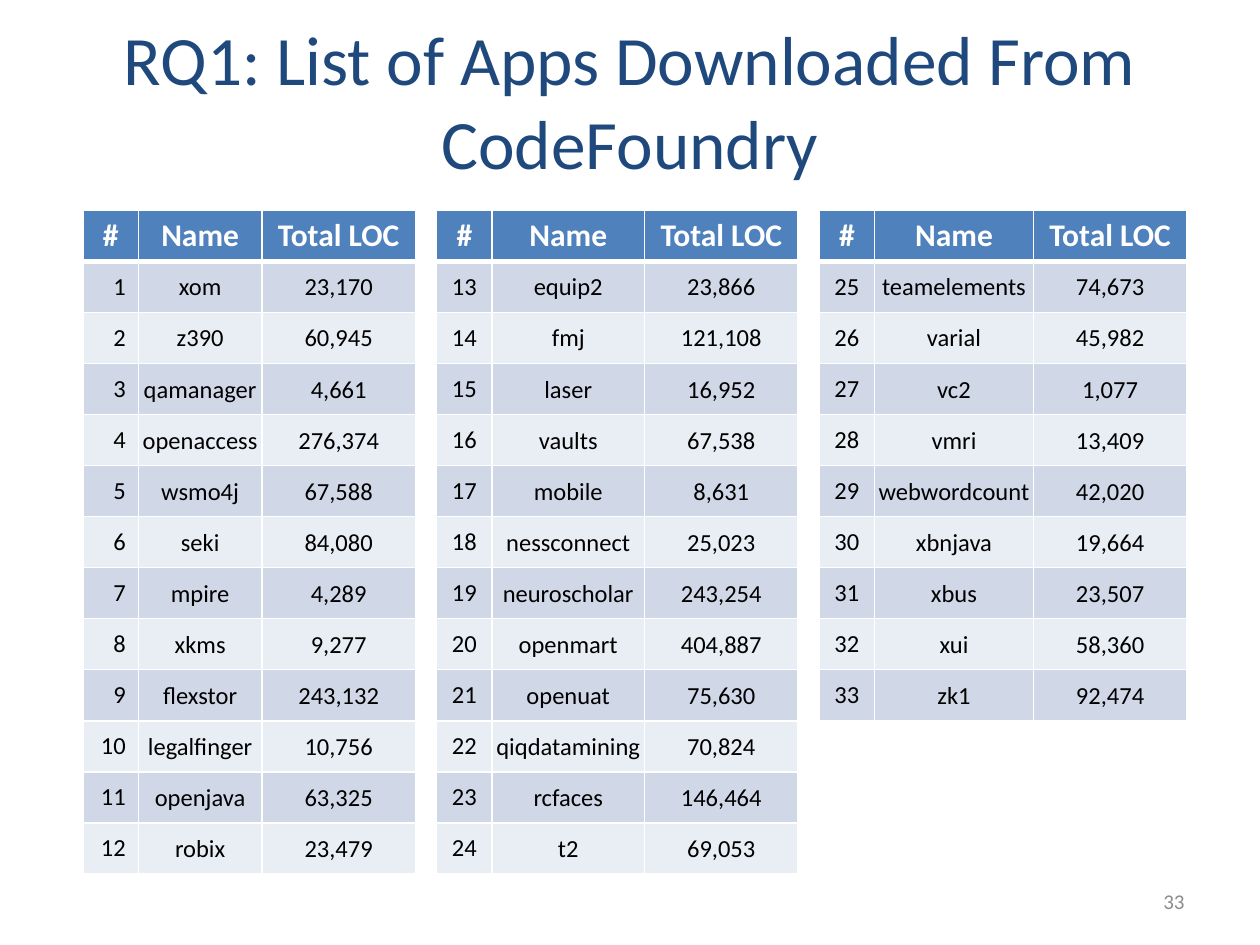
from dataclasses import dataclass

from lxml import etree
from pptx import Presentation
from pptx.dml.color import RGBColor
from pptx.enum.text import MSO_ANCHOR, PP_ALIGN
from pptx.oxml.ns import qn
from pptx.util import Pt

LEFT, MID, RIGHT = PP_ALIGN.LEFT, PP_ALIGN.CENTER, PP_ALIGN.RIGHT
TOP, CENTER = MSO_ANCHOR.TOP, MSO_ANCHOR.MIDDLE


@dataclass(frozen=True)
class Theme:
    """Colours, font and type sizes."""
    font: str = "Calibri"
    title: str = "1F497D"
    head: str = "4F81BD"
    bands: tuple = ("D0D8E8", "E9EDF4")
    white: str = "FFFFFF"
    ink: str = "000000"
    gray: str = "8C8C8C"
    big: float = 39.6
    label: float = 18
    body: float = 14
    small: float = 12


THEME = Theme()
HEADS = ("#", "Name", "Total LOC")
NUM_W, LOC_W, ROW_H = 31.7, 87.8, 29.19
START, TABLE_Y, GAP = 47.4, 120.2, 12

APPS = [
    ("xom", "23,170"), ("z390", "60,945"), ("qamanager", "4,661"),
    ("openaccess", "276,374"), ("wsmo4j", "67,588"), ("seki", "84,080"),
    ("mpire", "4,289"), ("xkms", "9,277"), ("flexstor", "243,132"),
    ("legalfinger", "10,756"), ("openjava", "63,325"), ("robix", "23,479"),
    ("equip2", "23,866"), ("fmj", "121,108"), ("laser", "16,952"),
    ("vaults", "67,538"), ("mobile", "8,631"), ("nessconnect", "25,023"),
    ("neuroscholar", "243,254"), ("openmart", "404,887"), ("openuat", "75,630"),
    ("qiqdatamining", "70,824"), ("rcfaces", "146,464"), ("t2", "69,053"),
    ("teamelements", "74,673"), ("varial", "45,982"), ("vc2", "1,077"),
    ("vmri", "13,409"), ("webwordcount", "42,020"), ("xbnjava", "19,664"),
    ("xbus", "23,507"), ("xui", "58,360"), ("zk1", "92,474"),
]
PARTS = [(0, 12, 70.6, RIGHT), (12, 24, 87.1, MID), (24, 33, 90.7, MID)]


def write(frame, text, size=THEME.body, color=THEME.ink, bold=False, align=MID):
    """Put formatted text into a text frame."""
    para = frame.paragraphs[0]
    para.alignment = align
    run = para.add_run()
    run.text = text
    font = run.font
    font.name, font.size, font.bold = THEME.font, Pt(size), bold
    font.color.rgb = RGBColor.from_string(color)


def add_text(slide, text, x, y, w, h, **style):
    """Add a wrapped text box centred on its height."""
    frame = slide.shapes.add_textbox(Pt(x), Pt(y), Pt(w), Pt(h)).text_frame
    frame.word_wrap = True
    frame.vertical_anchor = CENTER
    write(frame, text, **style)


def edge(cell, side, width):
    """Draw one white cell border."""
    line = etree.SubElement(cell._tc.get_or_add_tcPr(), qn(f"a:ln{side}"), w=str(Pt(width)))
    fill = etree.SubElement(line, qn("a:solidFill"))
    etree.SubElement(fill, qn("a:srgbClr"), val=THEME.white)


def dress(cell, row, col):
    """Set the borders, fill, anchor and margins of a cell."""
    rule = {"T": 3 if row == 1 else 1, "B": 3 if row == 0 else 1}
    for side in "LRTB":
        edge(cell, side, rule.get(side, 1))
    tint = THEME.bands[(row - 1) % 2] if row else THEME.head
    cell.fill.solid()
    cell.fill.fore_color.rgb = RGBColor.from_string(tint)
    cell.vertical_anchor = CENTER if row else TOP
    if row and col:
        cell.margin_left = cell.margin_right = cell.margin_top = Pt(0.75)
        cell.margin_bottom = Pt(0)


def add_list(slide, rows, x, name_w, align):
    """Add one app table and return its width."""
    widths = (NUM_W, name_w, LOC_W)
    lines = [HEADS, *rows]
    total = sum(widths)
    grid = slide.shapes.add_table(
        len(lines), len(HEADS), Pt(x), Pt(TABLE_Y), Pt(total), Pt(ROW_H * len(lines))
    ).table
    for col, width in enumerate(widths):
        grid.columns[col].width = Pt(width)
    for row, line in enumerate(lines):
        grid.rows[row].height = Pt(ROW_H)
        for col, text in enumerate(line):
            cell = grid.cell(row, col)
            dress(cell, row, col)
            if row:
                write(cell.text_frame, text, align=MID if col else align)
            else:
                write(cell.text_frame, text, size=THEME.label, color=THEME.white, bold=True)
    return total


def main():
    """Build and save the slide."""
    deck = Presentation()
    deck.slide_width, deck.slide_height = Pt(720), Pt(540)
    slide = deck.slides.add_slide(deck.slide_layouts[6])
    add_text(slide, "RQ1: List of Apps Downloaded From CodeFoundry",
             36, 12, 648, 90, size=THEME.big, color=THEME.title)
    add_text(slide, "33", 516, 500.5, 168, 28.75,
             size=THEME.small, color=THEME.gray, align=RIGHT)
    rows = [(str(num), *app) for num, app in enumerate(APPS, 1)]
    x = START
    for first, last, name_w, align in PARTS:
        x += add_list(slide, rows[first:last], x, name_w, align) + GAP
    deck.save("out.pptx")


if __name__ == "__main__":
    main()
